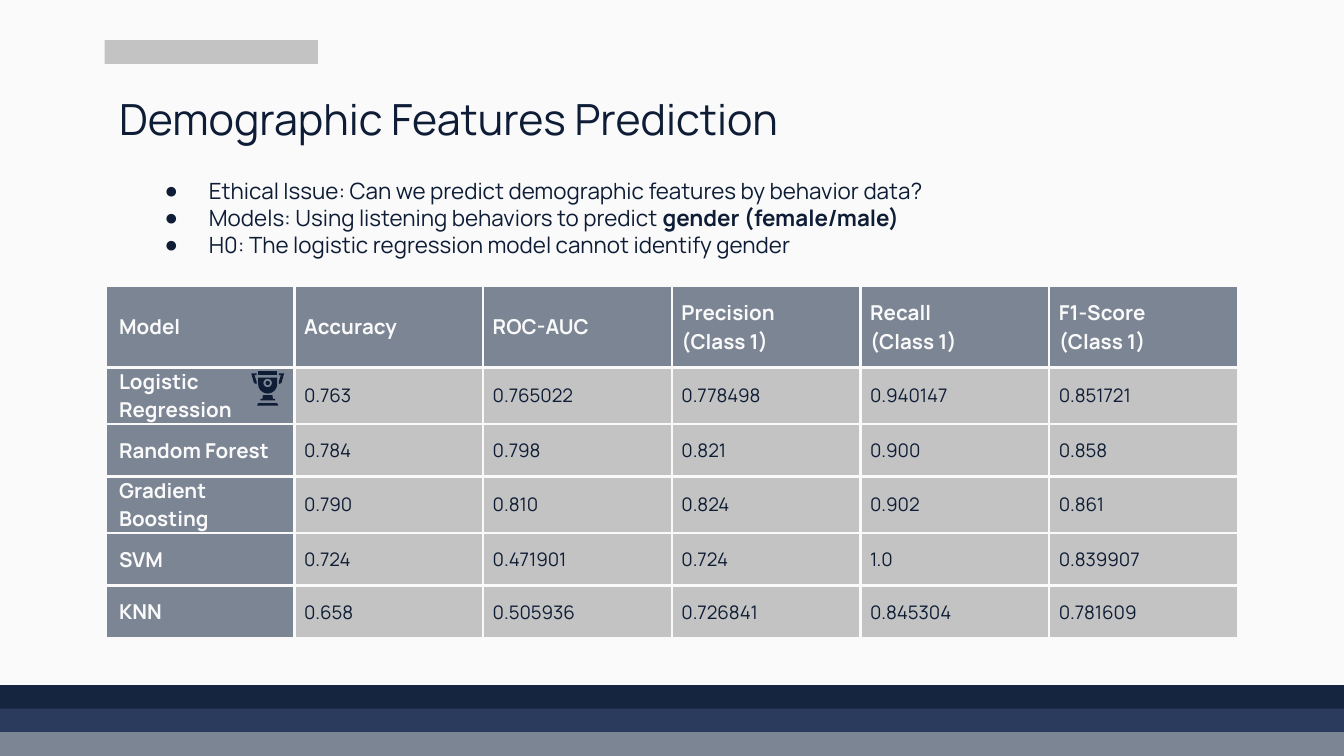
"""Build the slide on predicting demographic features."""
import math
from dataclasses import dataclass

from lxml import etree
from pptx import Presentation
from pptx import util as u
from pptx.dml.color import RGBColor
from pptx.enum import shapes, text
from pptx.oxml import ns

Cm = u.Cm


@dataclass(frozen=True)
class Theme:
    font: str = "Manrope"
    bullet_font: str = "Arial"
    paper: str = "FAFAFA"
    ink: str = "0E1D35"
    navy: str = "15253F"
    blue: str = "2B3B5D"
    slate: str = "7C8594"
    silver: str = "C3C3C3"
    title: float = 23
    body: float = 12
    header: float = 11
    value: float = 10
    border: float = 1.5


THEME = Theme()

POINTS = [
    [("Ethical Issue: Can we predict demographic features by behavior data?", False)],
    [("Models: Using listening behaviors to predict ", False), ("gender (female/male)", True)],
    [("H0: The logistic regression model cannot identify gender", False)],
]

SCORES = [
    ["Model", "Accuracy", "ROC-AUC", "Precision\n(Class 1)", "Recall\n(Class 1)", "F1-Score\n(Class 1)"],
    ["Logistic Regression", "0.763", "0.765022", "0.778498", "0.940147", "0.851721"],
    ["Random Forest", "0.784", "0.798", "0.821", "0.900", "0.858"],
    ["Gradient Boosting", "0.790", "0.810", "0.824", "0.902", "0.861"],
    ["SVM", "0.724", "0.471901", "0.724", "1.0", "0.839907"],
    ["KNN", "0.658", "0.505936", "0.726841", "0.845304", "0.781609"],
]
ROW_HEIGHTS = [1.55, 1.06, 1, 1.06, 1, 1]


def paint(fill, color):
    fill.solid()
    fill.fore_color.rgb = RGBColor.from_string(color)


def write(paragraph, words, *, size, color=THEME.ink, bold=False):
    run = paragraph.add_run()
    run.text = words
    run.font.name = THEME.font
    run.font.size = u.Pt(size)
    run.font.bold = bold
    run.font.color.rgb = RGBColor.from_string(color)


def add_bar(slide, left, top, width, height, color):
    bar = slide.shapes.add_shape(
        shapes.MSO_SHAPE.RECTANGLE, Cm(left), Cm(top), Cm(width), Cm(height))
    paint(bar.fill, color)
    bar.line.fill.background()
    bar.shadow.inherit = False


def add_text_frame(slide, left, top, width, height, anchor):
    frame = slide.shapes.add_textbox(Cm(left), Cm(top), Cm(width), Cm(height)).text_frame
    frame.word_wrap = True
    frame.vertical_anchor = anchor
    frame.margin_left = frame.margin_right = Cm(0.25)
    frame.margin_top = frame.margin_bottom = Cm(0.25)
    return frame


def add_bullet(paragraph):
    properties = paragraph._p.get_or_add_pPr()
    properties.set("marL", str(Cm(1.27)))
    properties.set("indent", str(Cm(-0.84)))
    color = etree.SubElement(properties, ns.qn("a:buClr"))
    etree.SubElement(color, ns.qn("a:srgbClr"), val=THEME.ink)
    etree.SubElement(properties, ns.qn("a:buFont"), typeface=THEME.bullet_font)
    etree.SubElement(properties, ns.qn("a:buChar"), char="●")


def add_points(slide):
    frame = add_text_frame(slide, 2.43, 3.1, 20.98, 1.6, text.MSO_ANCHOR.TOP)
    for index, point in enumerate(POINTS):
        paragraph = frame.add_paragraph() if index else frame.paragraphs[0]
        add_bullet(paragraph)
        paragraph.line_spacing = 1.0
        for words, bold in point:
            write(paragraph, words, size=THEME.body, bold=bold)


def add_borders(cell):
    properties = cell._tc.get_or_add_tcPr()
    for side in ("lnL", "lnR", "lnT", "lnB"):
        line = etree.SubElement(properties, ns.qn("a:" + side), w=str(u.Pt(THEME.border)))
        fill = etree.SubElement(line, ns.qn("a:solidFill"))
        etree.SubElement(fill, ns.qn("a:srgbClr"), val=THEME.paper)


def fill_cell(cell, words, is_header, is_model):
    add_borders(cell)
    paint(cell.fill, THEME.slate if is_header else THEME.silver)
    cell.vertical_anchor = text.MSO_ANCHOR.MIDDLE
    cell.margin_left = cell.margin_right = Cm(0.25 if is_model else 0.18)
    cell.margin_top = cell.margin_bottom = Cm(0 if is_model else 0.25)
    look = (dict(size=THEME.header, color=THEME.paper, bold=True) if is_header
            else dict(size=THEME.value))
    for index, line in enumerate(words.split("\n")):
        frame = cell.text_frame
        write(frame.add_paragraph() if index else frame.paragraphs[0], line, **look)


def add_scores(slide):
    table = slide.shapes.add_table(
        len(SCORES), len(SCORES[0]), Cm(2), Cm(5.4), Cm(21.4), Cm(sum(ROW_HEIGHTS))).table
    table.first_row = table.horz_banding = False
    for row, scores in enumerate(SCORES):
        table.rows[row].height = Cm(ROW_HEIGHTS[row])
        for column, words in enumerate(scores):
            fill_cell(table.cell(row, column), words, row == 0 or column == 0, column == 0)


def arc(y, radius, degrees):
    angles = (math.radians(angle) for angle in range(0, degrees + 1, 15))
    return [(radius * math.cos(angle), y + radius * math.sin(angle)) for angle in angles]


def mirror(half):
    return half + [(-x, y) for x, y in reversed(half)]


def add_outline(group, center, *contours):
    placed = [[(Cm(center + x), Cm(y)) for x, y in contour] for contour in contours]
    builder = group.shapes.build_freeform(*placed[0][0], scale=1.0)
    builder.add_line_segments(placed[0][1:])
    for contour in placed[1:]:
        builder.move_to(*contour[0])
        builder.add_line_segments(contour[1:])
    outline = builder.convert_to_shape()
    paint(outline.fill, THEME.ink)
    outline.line.fill.background()
    outline.shadow.inherit = False


def add_trophy(slide):
    group = slide.shapes.add_group_shape()
    center = 5.06
    stem = mirror([(0.09, 7.47), (0.1, 7.54), (0.14, 7.54), (0.14, 7.57)])
    base = mirror([(0.18, 7.62), (0.2, 7.67)])
    cup = [(0.18, 7.14)] + arc(7.26, 0.18, 180) + [(-0.18, 7.14)]
    rim = mirror([(0.18, 7.01), (0.18, 7.09)])
    handle = [(0.31, 7.06), (0.26, 7.24), (0.21, 7.26), (0.21, 7.21),
              (0.25, 7.09), (0.21, 7.09), (0.21, 7.06)]
    add_outline(group, center, stem)
    add_outline(group, center, base)
    add_outline(group, center, arc(7.24, 0.04, 360))
    add_outline(group, center, cup, arc(7.24, 0.08, 360))
    add_outline(group, center, rim)
    for side in (1, -1):
        add_outline(group, center, [(side * x, y) for x, y in handle])


def main():
    deck = Presentation()
    deck.slide_width, deck.slide_height = Cm(25.4), Cm(14.29)
    slide = deck.slides.add_slide(deck.slide_layouts[6])
    paint(slide.background.fill, THEME.paper)
    for index, color in enumerate((THEME.navy, THEME.blue, THEME.slate)):
        add_bar(slide, 0, 12.95 + 0.445 * index, 25.4, 0.45, color)
    add_bar(slide, 1.98, 0.76, 4.03, 0.45, THEME.silver)
    title = add_text_frame(slide, 2, 1.5, 21.4, 1.6, text.MSO_ANCHOR.MIDDLE).paragraphs[0]
    title.line_spacing = 0.9
    write(title, "Demographic Features Prediction", size=THEME.title)
    add_scores(slide)
    add_trophy(slide)
    add_points(slide)
    deck.save("out.pptx")


if __name__ == "__main__":
    main()
